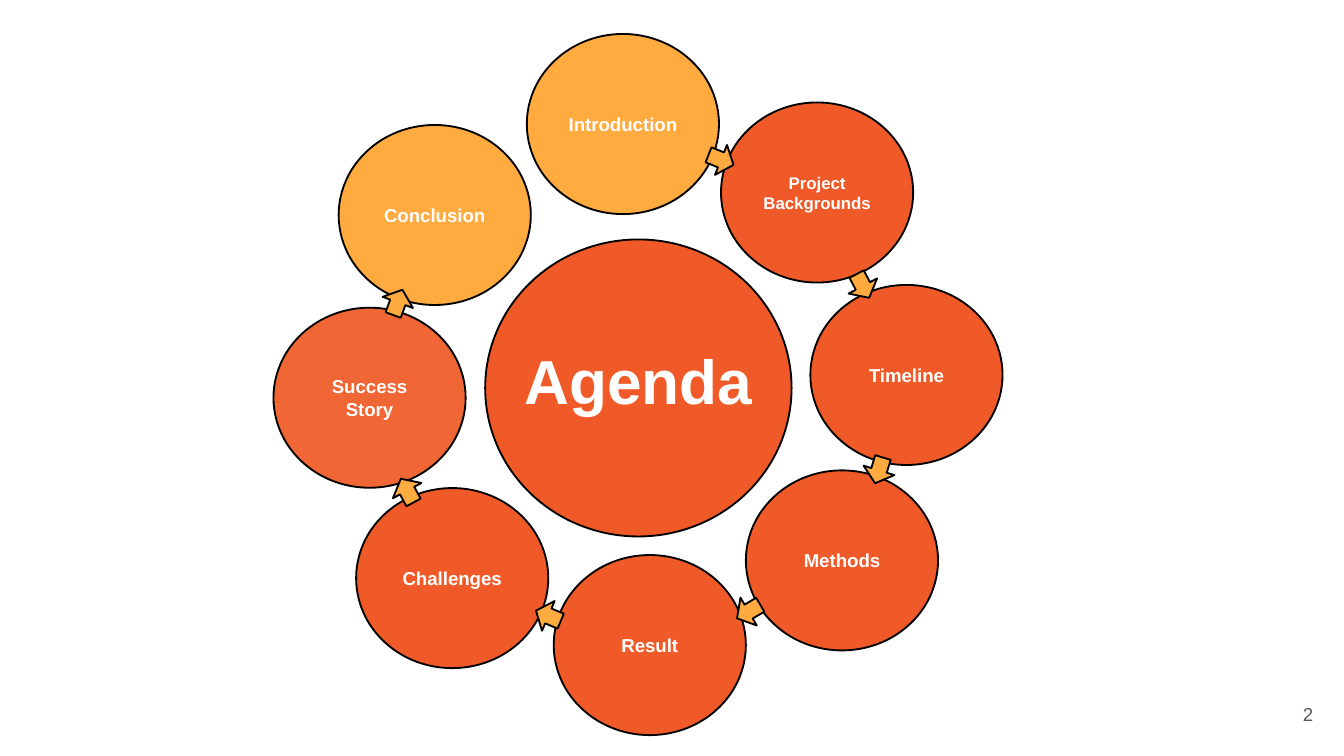
from pptx import Presentation
from pptx.dml.color import RGBColor
from pptx.enum.shapes import MSO_SHAPE
from pptx.enum.text import MSO_ANCHOR, MSO_AUTO_SIZE, PP_ALIGN
from pptx.util import Inches, Pt

ELLIPSE, ARROW = MSO_SHAPE.OVAL, MSO_SHAPE.RIGHT_ARROW
CENTER, RIGHT = PP_ALIGN.CENTER, PP_ALIGN.RIGHT
MIDDLE = MSO_ANCHOR.MIDDLE
NO_FIT = MSO_AUTO_SIZE.NONE
TITLE_ONLY = 5

ORANGE, CORAL, AMBER = "F05A28", "F06634", "FFAB40"
WHITE, BLACK, GRAY = "FFFFFF", "000000", "595959"

# Sizes and places are percentages of the enclosing box
STEP_SIZE = (14.3, 23.82)
ARROW_SIZE = (2, 4.27)

# Label, left, top, fill, text size; clockwise from the top
STEPS = [
    ("Introduction", 39.2, 4.5, AMBER, 10),
    ("Project Backgrounds", 53.65, 13.56, ORANGE, 9),
    ("Timeline", 60.3, 37.69, ORANGE, 10),
    ("Methods", 55.5, 62.22, ORANGE, 10),
    ("Result", 41.2, 73.42, ORANGE, 10),
    ("Challenges", 26.5, 64.57, ORANGE, 10),
    ("Success Story", 20.35, 40.71, CORAL, 10),
    ("Conclusion", 25.2, 16.53, AMBER, 10),
]

# Left, top, rotation; each arrow leads to the next step
ARROWS = [
    (52.65, 19.02, 21.9),
    (63.2, 35.7, 62),
    (64.4, 60.09, 107),
    (54.7, 78.76, 149.6),
    (39.8, 79.33, 202.9),
    (29.3, 62.76, 241.8),
    (28.6, 37.87, 290.1),
]


def color(value):
    return RGBColor.from_string(value)


def place(box, left, top, width, height):
    """Turn percentages of a box into slide lengths."""
    box_left, box_top, box_width, box_height = box
    return (
        int(box_left + box_width * left / 100),
        int(box_top + box_height * top / 100),
        int(box_width * width / 100),
        int(box_height * height / 100),
    )


def add_outlined(page, kind, area, fill):
    shape = page.shapes.add_shape(kind, *area)
    shape.shadow.inherit = False
    shape.fill.solid()
    shape.fill.fore_color.rgb = color(fill)
    shape.line.color.rgb = color(BLACK)
    shape.line.width = Pt(1)
    return shape


def write(shape, text, size, text_color, align=CENTER, bold=True):
    frame = shape.text_frame
    frame.word_wrap = True
    frame.auto_size = NO_FIT
    frame.vertical_anchor = MIDDLE
    frame.margin_left = frame.margin_right = Inches(0.08)
    para = frame.paragraphs[0]
    para.text = text
    para.alignment = align
    para.font.name = "Arial"
    para.font.size = Pt(size)
    para.font.bold = bold
    para.font.color.rgb = color(text_color)
    return para


def add_hub(page, box):
    """Central circle with the slide title on top of it."""
    add_outlined(page, ELLIPSE, place(box, 36.1, 31.68, 22.8, 39.29), ORANGE)
    title = page.shapes.title
    title.left, title.top, title.width, title.height = place(
        box, 36.5, 46.05, 22, 10.13)
    para = write(title, "Agenda", 33.3, WHITE)
    para.line_spacing = 0.8
    page.shapes._spTree.append(title._element)


def add_cycle(page, box):
    """Ring of steps joined by block arrows."""
    for label, left, top, fill, size in STEPS:
        step = add_outlined(page, ELLIPSE, place(box, left, top, *STEP_SIZE), fill)
        write(step, label, size, WHITE)
    for left, top, rotation in ARROWS:
        arrow = add_outlined(page, ARROW, place(box, left, top, *ARROW_SIZE), AMBER)
        arrow.rotation = rotation


def add_page_number(page, box):
    number = page.shapes.add_textbox(*place(box, 92.7, 90.67, 6, 7.64))
    write(number, "2", 10, GRAY, RIGHT, bold=False)
    number.text_frame.margin_right = Inches(0.1)


def main():
    deck = Presentation()
    # Widescreen page, 16:9
    deck.slide_width = Inches(10)
    deck.slide_height = deck.slide_width * 9 // 16
    page = deck.slides.add_slide(deck.slide_layouts[TITLE_ONLY])
    box = (0, 0, deck.slide_width, deck.slide_height)
    add_hub(page, box)
    add_cycle(page, box)
    add_page_number(page, box)
    deck.save("out.pptx")


if __name__ == "__main__":
    main()
